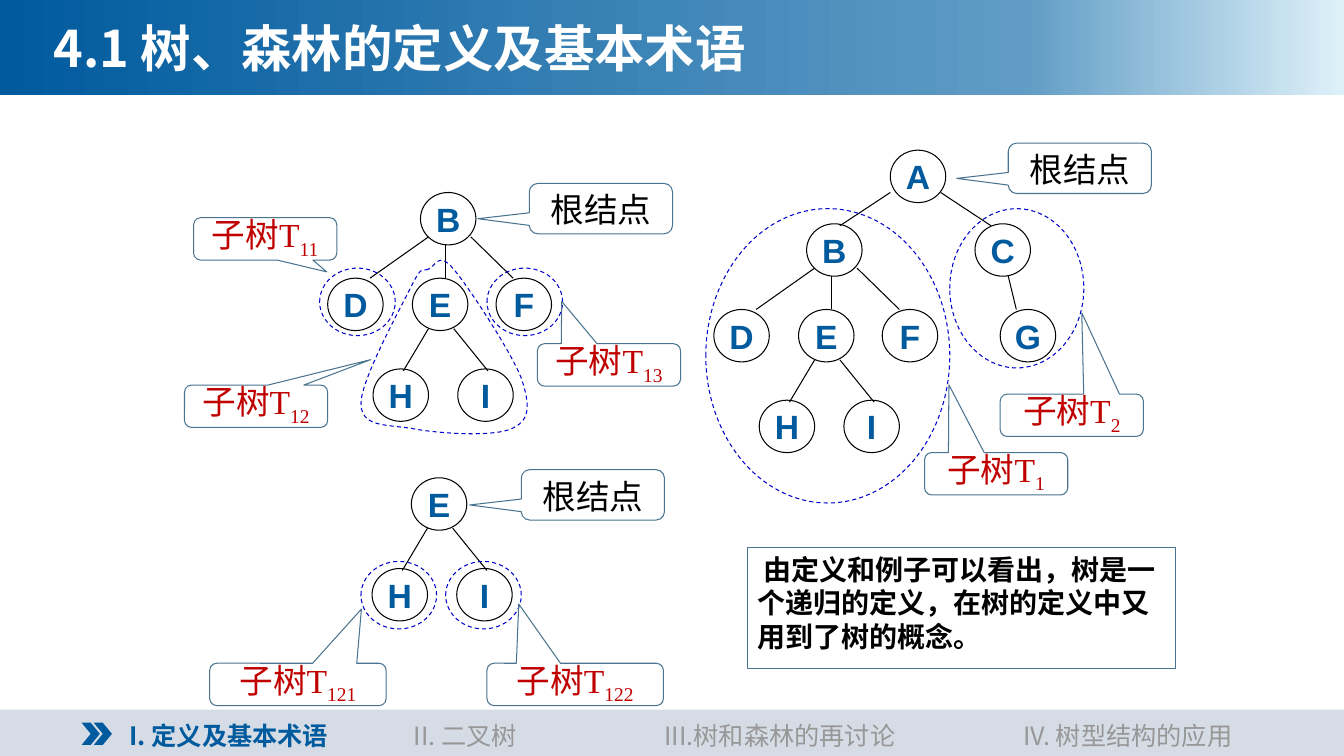
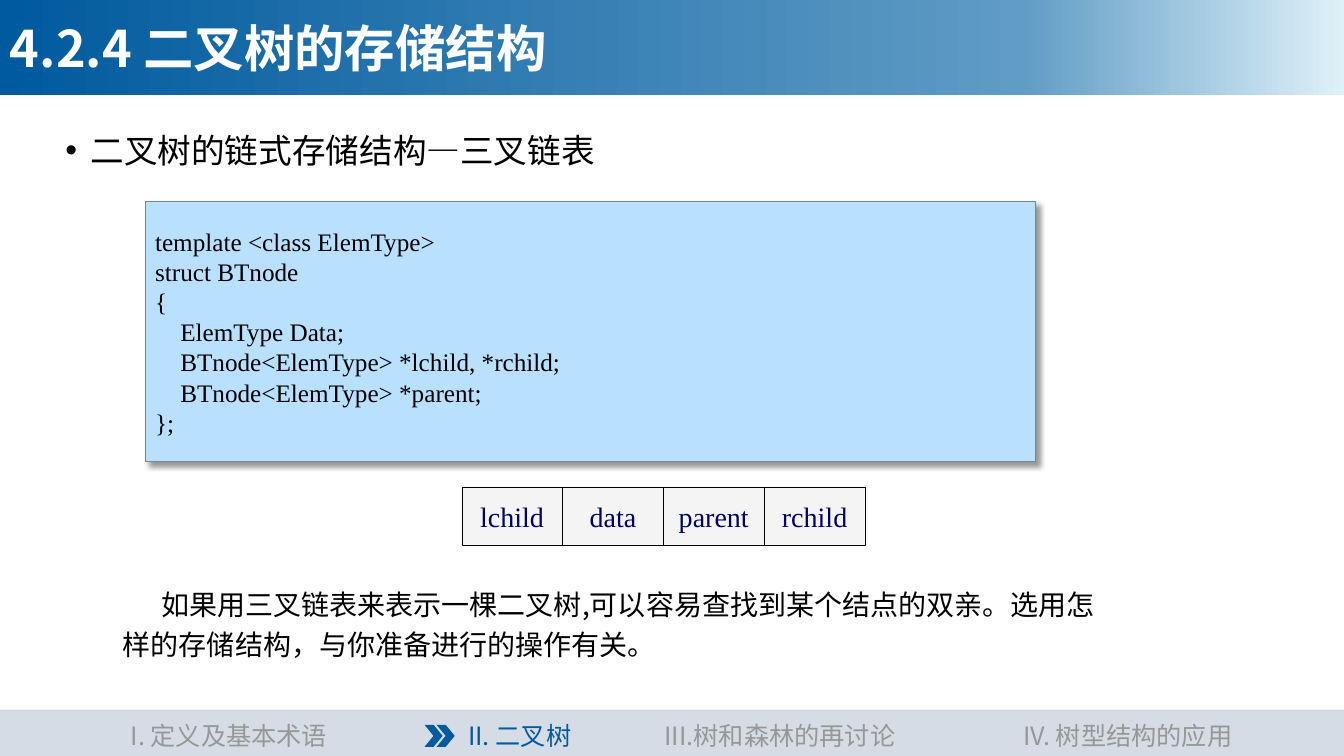
from lxml import etree
from pptx import Presentation, util as u
from pptx.dml.color import RGBColor
from pptx.enum import dml, shapes, text
from pptx.oxml import ns

W, H = 13.33, 7.5
BLUE = RGBColor(0x00, 0x5A, 0x9E)
MID_BLUE = RGBColor(0x60, 0x9C, 0xC5)
PALE_BLUE = RGBColor(0xDE, 0xF1, 0xF9)
CODE_BLUE = RGBColor(0xB9, 0xE1, 0xFF)
DASH_BLUE = RGBColor(0x00, 0x00, 0xCC)
NAVY = RGBColor(0x00, 0x00, 0x66)
STEEL = RGBColor(0x49, 0x73, 0x8F)
SLATE = RGBColor(0x77, 0x84, 0x95)
RED = RGBColor(0xC0, 0x00, 0x00)
BLACK = RGBColor(0x00, 0x00, 0x00)
WHITE = RGBColor(0xFF, 0xFF, 0xFF)
GREY = RGBColor(0x97, 0x97, 0x97)
FOOTER_GREY = RGBColor(0xD6, 0xDC, 0xE5)
CELL_GREY = RGBColor(0xF4, 0xF4, 0xF4)
SANS, SERIF, ARIAL = "Noto Sans CJK SC", "Times New Roman", "Arial"
LEFT, CENTER = text.PP_ALIGN.LEFT, text.PP_ALIGN.CENTER
TOP, MIDDLE = text.MSO_ANCHOR.TOP, text.MSO_ANCHOR.MIDDLE
KIND = shapes.MSO_SHAPE

BAND_H, FOOTER_TOP = 0.94, 7.04
BAND_STOPS = [(0, BLUE), (76, MID_BLUE), (100, PALE_BLUE)]
SECTIONS = [("I. 定义及基本术语", 0.43, 3.68), ("II. 二叉树", 3.5, 2.23),
            ("III.树和森林的再讨论", 6.28, 2.91), ("IV. 树型结构的应用", 9.97, 2.43)]

NODE_W, NODE_H = 0.55, 0.52
NODES = {"A": (8.83, 1.49), "B": (8, 2.22), "C": (9.67, 2.22),
         "D": (7.08, 3.07), "E": (7.92, 3.07), "F": (8.75, 3.07),
         "G": (9.92, 3.07), "H": (7.53, 3.97), "I": (8.37, 3.97)}
EDGES = {"AB": (8.83, 1.91, 8.33, 2.24), "AC": (9.33, 1.91, 9.83, 2.24),
         "CG": (10, 2.74, 10.08, 3.07), "BD": (8.08, 2.66, 7.5, 3.07),
         "BE": (8.25, 2.74, 8.25, 3.07), "BF": (8.5, 2.66, 8.92, 3.07),
         "EH": (8.08, 3.57, 7.83, 3.99), "EI": (8.33, 3.57, 8.67, 3.99)}
TREES = [("ABCDEFGHI", 0, 0), ("BDEFHI", -3.83, -0.31), ("EHI", -3.84, 1.67)]

LEAF_W, LEAF_H = 0.75, 0.67
SUBTREE_OVALS = [(7, 2.07, 2.42, 2.92), (9.42, 2.07, 1.33, 1.58)] + [
    (x, y, LEAF_W, LEAF_H)
    for x, y in [(3.17, 2.66), (4.83, 2.66), (3.58, 5.57), (4.42, 5.57)]]
OUTLINE_START = (4.25, 2.67)
OUTLINE_CURVES = [
    ((4.18, 2.7), (4.19, 2.62), (4.08, 2.84)), ((3.97, 3.06), (3.58, 3.77), (3.58, 4)),
    ((3.58, 4.24), (3.83, 4.21), (4.08, 4.25)), ((4.33, 4.3), (4.9, 4.34), (5.08, 4.25)),
    ((5.26, 4.17), (5.26, 4.02), (5.17, 3.75)), ((5.07, 3.49), (4.65, 2.85), (4.5, 2.67)),
    ((4.35, 2.49), (4.32, 2.64), (4.25, 2.67))]
CURVE_STEPS = 12

ROOT_LABELS = [(10, 1.42), (5.25, 1.82), (5.17, 4.66)]
SUBTREE_LABELS = [
    ("2", 9.92, 3.91, 1.42, 0.07, -2.42), ("1", 9.17, 4.49, 1.42, -0.33, -2.1),
    ("12", 1.83, 3.82, 1.42, 0.8, -1.1), ("13", 5.33, 3.41, 1.42, -0.33, -1.5),
    ("11", 1.92, 2.16, 1.42, 0.43, 0.78), ("121", 2.08, 6.58, 1.75, 0.36, -1.78),
    ("122", 4.83, 6.58, 1.75, -0.32, -1.9)]
REMARK = "由定义和例子可以看出，树是一个递归的定义，在树的定义中又用到了树的概念。"

HEADING = "二叉树的链式存储结构—三叉链表"
CODE = """template <class ElemType>
struct BTnode
{
    ElemType Data;
    BTnode<ElemType> *lchild, *rchild;
    BTnode<ElemType> *parent;
};"""
FIELDS = ["lchild", "data", "parent", "rchild"]
SUMMARY = "如果用三叉链表来表示一棵二叉树,可以容易查找到某个结点的双亲。选用怎样的存储结构，与你准备进行的操作有关。"


def add_box(s, kind, x, y, w, h, fill=None, line=None, width=0.75, dash=False):
    sp = s.shapes.add_shape(kind, *map(u.Inches, (x, y, w, h)))
    return style_box(sp, fill, line, width, dash)


def style_box(sp, fill=None, line=None, width=0.75, dash=False):
    sp.shadow.inherit = False
    if fill is None:
        sp.fill.background()
    else:
        sp.fill.solid()
        sp.fill.fore_color.rgb = fill
    if line is None:
        sp.line.fill.background()
    else:
        sp.line.color.rgb = line
        sp.line.width = u.Pt(width)
    if dash:
        sp.line.dash_style = dml.MSO_LINE.DASH
    return sp


def add_text(s, x, y, w, h):
    return s.shapes.add_textbox(*map(u.Inches, (x, y, w, h)))


def write(sp, words, size, color, font=SANS, bold=False, align=LEFT, anchor=MIDDLE,
          inset=(0.1, 0.05), spacing=None, sub=None):
    tf = sp.text_frame
    tf.word_wrap = True
    tf.vertical_anchor = anchor
    tf.margin_left = tf.margin_right = u.Inches(inset[0])
    tf.margin_top = tf.margin_bottom = u.Inches(inset[1])
    tf.text = words
    if sub:
        r = tf.paragraphs[0].add_run()
        r.text = sub
        r.font._element.set("baseline", "-25000")
    for p in tf.paragraphs:
        p.alignment = align
        if spacing:
            p.line_spacing = u.Pt(spacing)
        for r in p.runs:
            f = r.font
            f.name, f.size, f.bold, f.color.rgb = font, u.Pt(size), bold, color
            ea = etree.SubElement(f._element, ns.qn("a:ea"))
            ea.set("typeface", SANS)
    return tf


def set_indent(p, first, left=0, bullet=None):
    pPr = p._p.get_or_add_pPr()
    pPr.set("marL", str(u.Inches(left)))
    pPr.set("indent", str(u.Inches(first)))
    if bullet:
        etree.SubElement(pPr, ns.qn("a:buFont")).set("typeface", ARIAL)
        etree.SubElement(pPr, ns.qn("a:buChar")).set("char", bullet)


def add_title(s, title, inset):
    band = add_box(s, KIND.RECTANGLE, 0, 0, W, BAND_H)
    band.fill.gradient()
    band.fill.gradient_angle = 0
    stops = band._element.spPr.find(".//" + ns.qn("a:gsLst"))
    for old in list(stops):
        stops.remove(old)
    for pos, color in BAND_STOPS:
        gs = etree.SubElement(stops, ns.qn("a:gs"), pos=str(pos * 1000))
        etree.SubElement(gs, ns.qn("a:srgbClr"), val=str(color))
    write(band, title, 36, WHITE, bold=True, inset=(inset, 0.05))


def add_footer(s, active, bold, shift, mark_x, mark_y):
    add_box(s, KIND.RECTANGLE, 0, FOOTER_TOP, W, H - FOOTER_TOP, FOOTER_GREY)
    for i, (name, x, w) in enumerate(SECTIONS):
        on = i == active
        sp = add_text(s, x + (shift if on else 0), 7.1, w, 0.4)
        write(sp, name, 18, BLUE if on else GREY, bold=on and bold, align=CENTER)
    for i in range(2):
        add_box(s, KIND.CHEVRON, mark_x + 0.12 * i, mark_y, 0.18, 0.22, BLUE)


def add_tree(s, names, dx, dy):
    for (a, b), (x1, y1, x2, y2) in EDGES.items():
        if a in names and b in names:
            ends = map(u.Inches, (x1 + dx, y1 + dy, x2 + dx, y2 + dy))
            edge = s.shapes.add_connector(shapes.MSO_CONNECTOR.STRAIGHT, *ends)
            edge.line.color.rgb = BLACK
            edge.line.width = u.Pt(0.75)
            etree.SubElement(edge._element.spPr, ns.qn("a:effectLst"))
    for name in names:
        x, y = NODES[name]
        node = add_box(s, KIND.OVAL, x + dx, y + dy, NODE_W, NODE_H, line=BLACK)
        write(node, name, 24, BLUE, ARIAL, True, CENTER, inset=(0, 0))


def add_outline(s):
    points, start = [], OUTLINE_START
    for c1, c2, end in OUTLINE_CURVES:
        for i in range(1, CURVE_STEPS + 1):
            t = i / CURVE_STEPS
            shares = ((1 - t) ** 3, 3 * t * (1 - t) ** 2, 3 * t * t * (1 - t), t ** 3)
            points.append(tuple(u.Inches(sum(k * q[axis] for k, q in zip(shares, (start, c1, c2, end))))
                                for axis in (0, 1)))
        start = end
    pen = s.shapes.build_freeform(*map(u.Inches, OUTLINE_START))
    pen.add_line_segments(points, close=True)
    style_box(pen.convert_to_shape(), line=DASH_BLUE, dash=True)


def add_callout(s, x, y, w, h, tip, words, color, font, sub=None):
    sp = add_box(s, KIND.ROUNDED_RECTANGULAR_CALLOUT, x, y, w, h, line=STEEL)
    sp.adjustments[0], sp.adjustments[1] = tip
    write(sp, words, 24, color, font, align=CENTER, inset=(0, 0), spacing=30, sub=sub)


def tree_slide(prs):
    s = prs.slides.add_slide(prs.slide_layouts[6])
    for names, dx, dy in TREES:
        add_tree(s, names, dx, dy)
    for oval in SUBTREE_OVALS:
        add_box(s, KIND.OVAL, *oval, line=DASH_BLUE, dash=True)
    add_outline(s)
    for x, y in ROOT_LABELS:
        add_callout(s, x, y, 1.42, 0.5, (-0.86, 0.2), "根结点", BLACK, SANS)
    for sub, x, y, w, *tip in SUBTREE_LABELS:
        add_callout(s, x, y, w, 0.42, tip, "子树T", RED, SERIF, sub)
    remark = add_box(s, KIND.RECTANGLE, 7.41, 5.43, 4.25, 1.2, line=STEEL)
    tf = write(remark, REMARK, 20, BLACK, bold=True, anchor=TOP, spacing=24)
    set_indent(tf.paragraphs[0], 0.06)
    add_title(s, "4.1 树、森林的定义及基本术语", 0.53)
    add_footer(s, 0, True, 0, 0.81, 7.17)


def storage_slide(prs):
    s = prs.slides.add_slide(prs.slide_layouts[6])
    tf = write(add_text(s, 0.55, 1.25, 11.87, 0.6), HEADING, 24, BLACK, anchor=TOP, spacing=28)
    set_indent(tf.paragraphs[0], -0.25, 0.25, "•")
    code = add_box(s, KIND.RECTANGLE, 1.44, 2, 8.83, 2.58, CODE_BLUE, SLATE, 0.25)
    write(code, CODE, 18, BLACK, SERIF)
    effects = code._element.spPr.find(ns.qn("a:effectLst"))
    shadow = etree.SubElement(effects, ns.qn("a:outerShdw"), blurRad=str(u.Pt(4)),
                              dist=str(u.Pt(4)), dir="2700000", algn="tl", rotWithShape="0")
    tint = etree.SubElement(shadow, ns.qn("a:srgbClr"), val=str(BLACK))
    etree.SubElement(tint, ns.qn("a:alpha"), val="40000")
    for i, name in enumerate(FIELDS):
        cell = add_box(s, KIND.RECTANGLE, 4.58 + i, 4.83, 1, 0.58, CELL_GREY, BLACK, 0.25)
        write(cell, name, 20, NAVY, SERIF, align=CENTER)
    tf = write(add_text(s, 1.12, 5.71, 10.02, 0.91), SUMMARY, 20, BLACK, anchor=TOP, spacing=28.8)
    set_indent(tf.paragraphs[0], 0.38)
    add_title(s, "4.2.4 二叉树的存储结构", 0.1)
    add_footer(s, 1, False, 0.54, 4.21, 7.19)


def main():
    prs = Presentation()
    prs.slide_width, prs.slide_height = u.Inches(W), u.Inches(H)
    tree_slide(prs)
    storage_slide(prs)
    prs.save("out.pptx")


if __name__ == "__main__":
    main()
